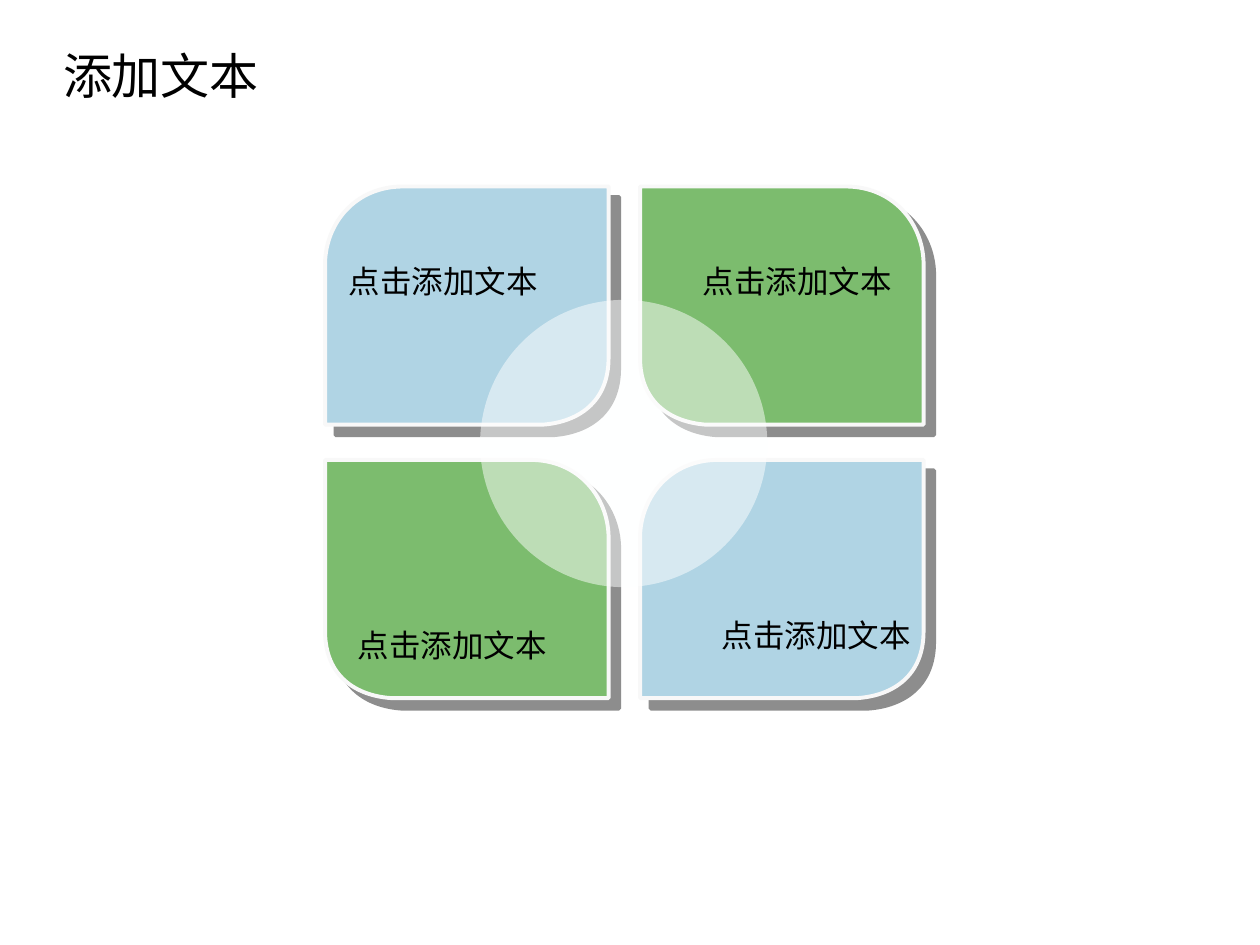
from lxml import etree
from pptx import Presentation
from pptx.dml.color import RGBColor
from pptx.enum.shapes import MSO_SHAPE
from pptx.enum.text import MSO_ANCHOR, MSO_AUTO_SIZE, PP_ALIGN
from pptx.oxml import parse_xml
from pptx.oxml.ns import nsdecls, qn
from pptx.util import Inches, Pt

ELLIPSE = MSO_SHAPE.OVAL
LEFT, TOP = PP_ALIGN.LEFT, MSO_ANCHOR.TOP
GROW = MSO_AUTO_SIZE.SHAPE_TO_FIT_TEXT

BLUE = RGBColor(0xB0, 0xD4, 0xE4)
GREEN = RGBColor(0x7C, 0xBC, 0x6E)
EDGE = RGBColor(0xF8, 0xF8, 0xF8)
GLOW = RGBColor(0xFE, 0xFF, 0xFF)
SHADOW = RGBColor(0x1C, 0x1C, 0x1C)
BLACK = RGBColor(0, 0, 0)
FONT = "Noto Sans CJK SC"

PETAL_W, PETAL_H = 2.25, 1.89


def set_text(sp, text, size=18, color=BLACK, font=FONT):
    tf = sp.text_frame
    tf.word_wrap = False
    tf.auto_size = GROW
    tf.vertical_anchor = TOP
    p = tf.paragraphs[0]
    p.alignment = LEFT
    r = p.add_run()
    r.text = text
    r.font.size = Pt(size)
    r.font.color.rgb = color
    r.font.name = font
    etree.SubElement(r.font._element, qn("a:ea"), typeface=font)


def set_box(sp, x, y, w, h):
    sp.left, sp.top, sp.width, sp.height = map(Inches, (x, y, w, h))


def petal_outline(w, h):
    """Start point and cubic segments; top left and bottom right are rounded."""
    start, low_left, left = (w - 0.52, h), (0, h), (0, 0.6)
    top, top_right, right = (0.62, 0), (w, 0), (w, 1.36)
    return start, [
        (start, low_left, low_left),
        (low_left, left, left),
        ((0.01, 0.29), (0.24, 0), top),
        (top, top_right, top_right),
        (top_right, right, right),
        ((w, 1.72), (w - 0.25, h - 0.02), start),
    ]


def add_petal(slide, x, y, w, h, color, mirrored):
    def local(point):
        px, py = point
        return Inches(w - px if mirrored else px), Inches(py)

    def placed(point):
        px, py = local(point)
        return Inches(x) + px, Inches(y) + py

    start, segments = petal_outline(w, h)
    builder = slide.shapes.build_freeform(*placed(start))
    builder.add_line_segments([placed(seg[-1]) for seg in segments], close=True)
    sp = builder.convert_to_shape()

    # Turn each side into a cubic curve
    for line, seg in zip(list(sp._element.iter(qn("a:lnTo"))), segments):
        curve = etree.Element(qn("a:cubicBezTo"))
        for px, py in map(local, seg):
            etree.SubElement(curve, qn("a:pt"), x=str(px), y=str(py))
        line.getparent().replace(line, curve)

    sp.fill.solid()
    sp.fill.fore_color.rgb = color
    sp.line.color.rgb = EDGE
    sp.line.width = Pt(2.25)
    # Hard shadow towards the lower right
    sp._element.spPr.append(parse_xml(
        f'<a:effectLst {nsdecls("a")}><a:outerShdw dist="{Pt(8.5)}" dir="2700000" '
        f'algn="ctr" rotWithShape="0"><a:srgbClr val="{SHADOW}"><a:alpha val="50000"/>'
        '</a:srgbClr></a:outerShdw></a:effectLst>'))


def add_glow(slide, x, y, size):
    sp = slide.shapes.add_shape(ELLIPSE, *map(Inches, (x, y, size, size)))
    sp.shadow.inherit = False
    sp.fill.solid()
    sp.fill.fore_color.rgb = GLOW
    sp.line.fill.background()
    clr = sp._element.spPr.find(qn("a:solidFill"))[0]
    etree.SubElement(clr, qn("a:alpha"), val="50000")


def add_title(slide, x, y, w, h):
    title = slide.shapes.title
    set_box(title, x, y, w, h)
    set_text(title, "添加文本", size=28)


def add_flower(slide, x, y):
    # Four petals, alternating in colour and direction
    for row in range(2):
        for col in range(2):
            mirrored = row != col
            add_petal(slide, x + col * 2.5, y + row * 2.17, PETAL_W, PETAL_H,
                      GREEN if mirrored else BLUE, mirrored)

    # Translucent centre
    add_glow(slide, x + 1.23, y + 0.9, 2.28)

    # Labels, offset from the flower's corner
    for dx, dy in ((2.9, 0.55), (3.05, 3.36), (0.16, 3.44), (0.09, 0.55)):
        box = slide.shapes.add_textbox(*map(Inches, (x + dx, y + dy, 1.7, 0.4)))
        set_text(box, "点击添加文本")


def main():
    prs = Presentation()
    prs.slide_width, prs.slide_height = Inches(10), Inches(7.5)
    slide = prs.slides.add_slide(prs.slide_layouts[5])
    add_title(slide, 0.4, 0.31, 1.77, 0.57)
    add_flower(slide, 2.58, 1.48)
    prs.save("out.pptx")


if __name__ == "__main__":
    main()
